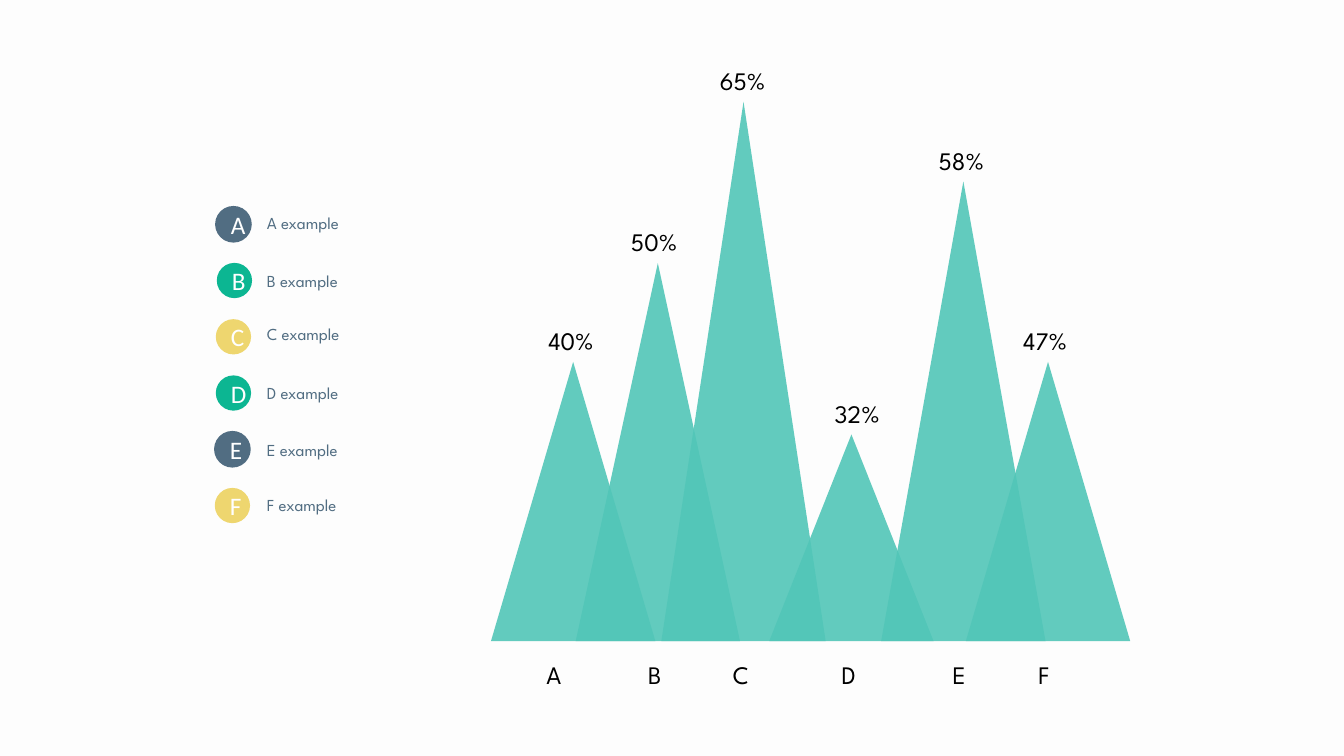
"""Build a slide with a peak chart of six shares and its legend."""
from lxml import etree
from pptx import Presentation
from pptx.dml.color import RGBColor
from pptx.enum.shapes import MSO_SHAPE
from pptx.enum.text import MSO_ANCHOR, MSO_AUTO_SIZE, PP_ALIGN
from pptx.oxml.ns import qn
from pptx.util import Inches, Pt

OVAL = MSO_SHAPE.OVAL
PEAK = MSO_SHAPE.ISOSCELES_TRIANGLE
MIDDLE = MSO_ANCHOR.MIDDLE
CENTER = PP_ALIGN.CENTER
GROW = MSO_AUTO_SIZE.SHAPE_TO_FIT_TEXT

COLORS = {"back": "FDFDFD", "slate": "516D82", "green": "0CB692",
          "gold": "EED66F", "teal": "52C6B8", "white": "FFFFFF", "black": "000000"}
FONTS = {"note": {"name": "League Spartan", "size": Pt(12)},
         "value": {"name": "League Spartan", "size": Pt(18)},
         "badge": {"name": "Calibri", "size": Pt(18)}}

CELL = 0.1
BASE = 63.6
PEAK_WIDTH = 16.3
LABEL_RISE = 4.1
DOT = 3.5
DOT_TOP = 20.5
DOT_STEP = 5.58

LEGEND = [("A", "slate", 21.4, 20.6), ("B", "green", 21.5, 26.4),
          ("C", "gold", 21.4, 31.6), ("D", "green", 21.4, 37.5),
          ("E", "slate", 21.3, 43.1), ("F", "gold", 21.3, 48.6)]
PEAKS = [("B", 50, 57.1, 26.1, 61.6, 63.3, 3.5), ("C", 65, 65.6, 10.1, 70.4, 71.7, 4.1),
         ("D", 32, 76.3, 43.1, 81.8, 82.5, 3.9), ("E", 58, 87.4, 18, 92.1, 93.5, 3.4),
         ("F", 47, 95.8, 35.9, 100.5, 102, 3.2), ("A", 40, 48.7, 35.9, 53.4, 53.2, 3.9)]


def grid(*cells):
    """Turn grid columns and rows into lengths."""
    return [Inches(cell * CELL) for cell in cells]


def hue(name):
    """Look up a colour by name."""
    return RGBColor.from_string(COLORS[name])


def write(frame, text, font, color):
    """Put one formatted run into a text frame."""
    run = frame.paragraphs[0].add_run()
    run.text = text
    for key, value in FONTS[font].items():
        setattr(run.font, key, value)
    run.font.color.rgb = hue(color)


def add_text(slide, box, text, font, color, wrap=False):
    """Add a text box that grows with its text."""
    frame = slide.shapes.add_textbox(*grid(*box)).text_frame
    frame.word_wrap = wrap
    frame.auto_size = GROW
    write(frame, text, font, color)


def add_form(slide, kind, box, color):
    """Add a flat shape without an outline."""
    form = slide.shapes.add_shape(kind, *grid(*box))
    form.shadow.inherit = False
    form.fill.solid()
    form.fill.fore_color.rgb = hue(color)
    form.line.fill.background()
    return form


def add_badge(slide, letter, color, left, top):
    """Add a legend dot with its letter."""
    dot = add_form(slide, OVAL, (left, top, DOT, DOT), color)
    if color == "slate":
        dot.line.color.rgb = hue(color)
        dot.line.width = Pt(1)
    frame = dot.text_frame
    frame.vertical_anchor = MIDDLE
    frame.paragraphs[0].alignment = CENTER
    write(frame, letter, "badge", "white")


def add_peak(slide, left, top):
    """Add a translucent triangle that stands on the base line."""
    peak = add_form(slide, PEAK, (left, top, PEAK_WIDTH, BASE - top), "teal")
    tint = peak.fill._xPr.find(".//" + qn("a:srgbClr"))
    etree.SubElement(tint, qn("a:alpha")).set("val", "90000")


def main():
    """Lay out the slide and save it."""
    deck = Presentation()
    deck.slide_width, deck.slide_height = Inches(13.33), Inches(7.5)
    slide = deck.slides.add_slide(deck.slide_layouts[6])
    slide.background.fill.solid()
    slide.background.fill.fore_color.rgb = hue("back")

    for row, (letter, color, left, top) in enumerate(LEGEND):
        add_text(slide, (25.5, top, 20.7, 3), f"{letter} example", "note", "slate", True)
        add_badge(slide, letter, color, left, DOT_TOP + row * DOT_STEP)

    for _, _, left, top, *_ in PEAKS:
        add_peak(slide, left, top)
    for letter, share, _, top, label, foot, width in PEAKS:
        add_text(slide, (label, top - LABEL_RISE, 6.8, 4), f"{share}%", "value", "black")
        add_text(slide, (foot, 64.9, width, 4), letter, "value", "black")

    deck.save("out.pptx")


main()
